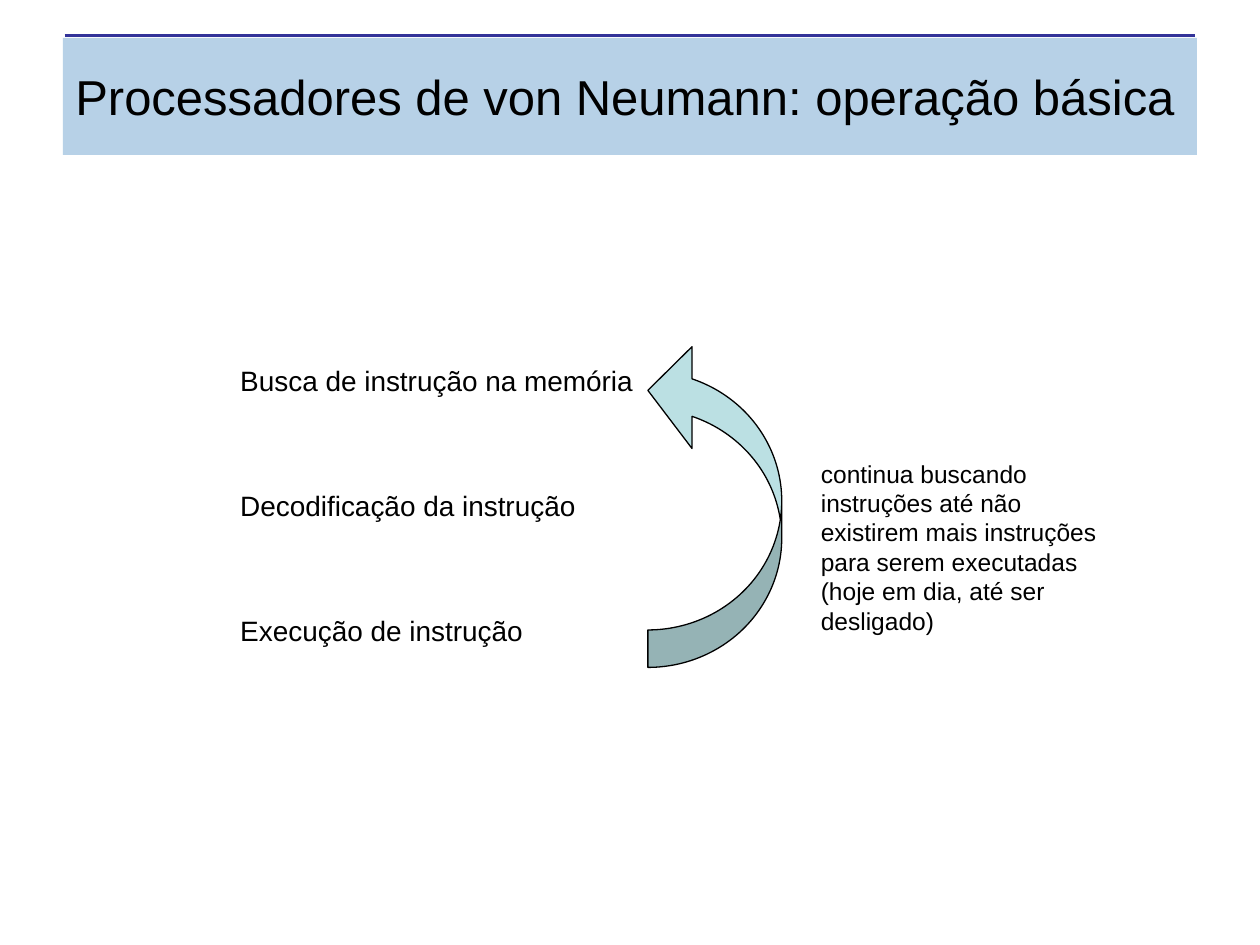
"""Build the slide on the basic operation of von Neumann processors."""
import pptx
import pptx.dml.color
import pptx.enum.shapes
import pptx.enum.text
import pptx.oxml
import pptx.util

Pt = pptx.util.Pt
RGBColor = pptx.dml.color.RGBColor
MSO_SHAPE = pptx.enum.shapes.MSO_SHAPE
MSO_ANCHOR = pptx.enum.text.MSO_ANCHOR
MSO_AUTO_SIZE = pptx.enum.text.MSO_AUTO_SIZE
PP_ALIGN = pptx.enum.text.PP_ALIGN

BLACK = RGBColor(0x00, 0x00, 0x00)
NAVY = RGBColor(0x33, 0x33, 0x99)
BAND = RGBColor(0xB7, 0xD1, 0xE7)
AQUA = RGBColor(0xBB, 0xE0, 0xE3)

STEPS = [
    ("Busca de instrução na memória", 239),
    ("Decodificação da instrução", 206),
    ("Execução de instrução", 176),
]
LOOP_NOTE = [
    "continua buscando instruções até não existirem mais instruções para serem executadas",
    "(hoje em dia, até ser desligado)",
]


def write(s, lines, size, wrap=True, anchor=MSO_ANCHOR.TOP,
          auto_size=MSO_AUTO_SIZE.SHAPE_TO_FIT_TEXT):
    tf = s.text_frame
    frame = {
        "word_wrap": wrap, "vertical_anchor": anchor, "auto_size": auto_size,
        "margin_left": Pt(7.2), "margin_right": Pt(7.2),
        "margin_top": Pt(3.6), "margin_bottom": Pt(3.6),
    }
    for name, value in frame.items():
        setattr(tf, name, value)
    for i, line in enumerate(lines):
        p = tf.paragraphs[0] if i == 0 else tf.add_paragraph()
        p.alignment = PP_ALIGN.LEFT
        r = p.add_run()
        r.text = line
        for name, value in {"name": "Arial", "size": Pt(size)}.items():
            setattr(r.font, name, value)
        r.font.color.rgb = BLACK


prs = pptx.Presentation()
prs.slide_width, prs.slide_height = Pt(720), Pt(540)
slide = prs.slides.add_slide(prs.slide_layouts[6])
shapes = slide.shapes

rule = shapes.add_connector(
    pptx.enum.shapes.MSO_CONNECTOR.STRAIGHT, Pt(37), Pt(20.4), Pt(683), Pt(20.4))
rule.line.color.rgb = NAVY
rule.line.width = Pt(1.5)
rule._element.spPr.append(pptx.oxml.parse_xml(
    '<a:effectLst xmlns:a="http://schemas.openxmlformats.org/drawingml/2006/main"/>'))

title = shapes.add_shape(MSO_SHAPE.RECTANGLE, Pt(36), Pt(21.6), Pt(648), Pt(67))
title.shadow.inherit = False
title.fill.solid()
title.fill.fore_color.rgb = BAND
title.line.fill.background()
write(title, ["Processadores de von Neumann: operação básica"], 28,
      anchor=MSO_ANCHOR.MIDDLE, auto_size=MSO_AUTO_SIZE.NONE)

arrow = shapes.add_shape(MSO_SHAPE.CURVED_LEFT_ARROW, Pt(370.2), Pt(194), Pt(76.5), Pt(187.4))
arrow._element.spPr.xfrm.set("flipV", "1")
arrow.shadow.inherit = False
for i, value in enumerate([0.28, 0.76, 0.33]):
    arrow.adjustments[i] = value
arrow.fill.solid()
arrow.fill.fore_color.rgb = AQUA
arrow.line.color.rgb = BLACK
arrow.line.width = Pt(0.75)

note = shapes.add_textbox(Pt(462), Pt(258.5), Pt(183), Pt(108))
write(note, LOOP_NOTE, 14)

for i, (step, width) in enumerate(STEPS):
    s = shapes.add_textbox(Pt(130.2), Pt(204.5 + 71.4 * i), Pt(width), Pt(26.6))
    write(s, [step], 16, wrap=False)

prs.save("out.pptx")
